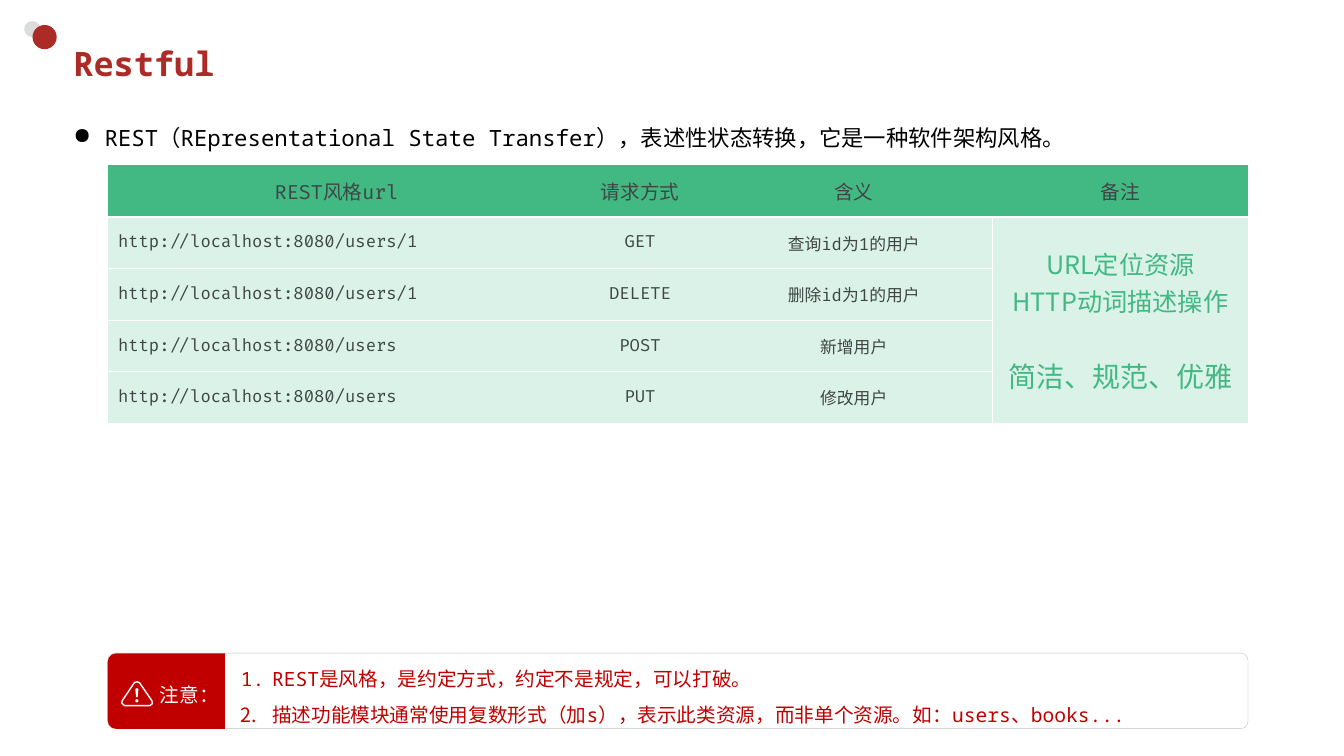
from lxml.etree import SubElement
from pptx import Presentation
from pptx.dml.color import RGBColor
from pptx.enum.shapes import MSO_SHAPE as Shape
from pptx.enum.text import MSO_ANCHOR as Anchor, PP_ALIGN as Align
from pptx.oxml.ns import qn
from pptx.util import Cm, Pt

COLORS = {
    "red": "AD2B26", "alert": "C00000", "gray": "DADDDC", "edge": "BFBFBF",
    "green": "42B883", "mint": "DAF2E7", "slate": "3F4645",
    "black": "000000", "white": "FFFFFF",
}
MONO, CODE, SANS = "Noto Sans Mono", "Fira Code", "Noto Sans CJK JP"
LEFT, WIDTH = 2.72, 28.73
COLUMNS = [11.53, 3.76, 7.01, 6.43]
ROW_HEIGHT = 1.3
HEADERS = ["REST风格url", "请求方式", "含义", "备注"]
REQUESTS = [
    ("http://localhost:8080/users/1", "GET", "查询id为1的用户"),
    ("http://localhost:8080/users/1", "DELETE", "删除id为1的用户"),
    ("http://localhost:8080/users", "POST", "新增用户"),
    ("http://localhost:8080/users", "PUT", "修改用户"),
]
REMARKS = ["URL定位资源", "HTTP动词描述操作", "简洁、规范、优雅"]
NOTES = [
    "REST是风格，是约定方式，约定不是规定，可以打破。",
    "描述功能模块通常使用复数形式（加s），表示此类资源，而非单个资源。如：users、books...",
]


def rgb(name):
    return RGBColor.from_string(COLORS[name])


class SlideBuilder:
    def __init__(self, page):
        self.page = page

    def paint(self, shape, fill=None, line=None, width=0.25):
        shape.shadow.inherit = False
        if fill:
            shape.fill.solid()
            shape.fill.fore_color.rgb = rgb(fill)
        else:
            shape.fill.background()
        if line:
            shape.line.color.rgb = rgb(line)
            shape.line.width = Pt(width)
        else:
            shape.line.fill.background()
        return shape

    def shape(self, kind, x, y, w, h, **paint):
        item = self.page.shapes.add_shape(kind, Cm(x), Cm(y), Cm(w), Cm(h))
        return self.paint(item, **paint)

    def outline(self, points, **paint):
        builder = self.page.shapes.build_freeform(
            *[Cm(value) for value in points[0]])
        builder.add_line_segments([(Cm(x), Cm(y)) for x, y in points[1:]])
        return self.paint(builder.convert_to_shape(), **paint)

    def fill_text(self, frame, lines, size, color, font,
                  bold=False, align=Align.LEFT, bullet=None):
        frame.text = "\n".join(lines)
        for para in frame.paragraphs:
            para.alignment = align
            if bullet:
                para.line_spacing = 1.5
                self.bullet(para, bullet)
            for span in para.runs:
                span.font.size = Pt(size)
                span.font.name = font
                span.font.bold = bold
                span.font.color.rgb = rgb(color)

    def bullet(self, para, mark):
        props = para._p.get_or_add_pPr()
        props.set("marL", str(Cm(0.79)))
        props.set("indent", str(-Cm(0.79)))
        if mark == "number":
            SubElement(props, qn("a:buAutoNum"), type="arabicPeriod")
        else:
            SubElement(props, qn("a:buChar"), char=mark)

    def text(self, x, y, w, h, lines, size, color, font,
             anchor=Anchor.MIDDLE, wrap=True, **style):
        box = self.page.shapes.add_textbox(Cm(x), Cm(y), Cm(w), Cm(h))
        box.text_frame.word_wrap = wrap
        box.text_frame.vertical_anchor = anchor
        self.fill_text(box.text_frame, lines, size, color, font, **style)

    def cell(self, cell, lines, size, color, font, fill, borders, align):
        cell.vertical_anchor = Anchor.MIDDLE
        props = cell._tc.get_or_add_tcPr()
        for side in "LRTB":
            width = borders.get(side, 0)
            line = SubElement(props, qn(f"a:ln{side}"), w=str(Pt(width)))
            if width:
                solid = SubElement(line, qn("a:solidFill"))
                SubElement(solid, qn("a:srgbClr"), val=COLORS["white"])
            else:
                SubElement(line, qn("a:noFill"))
        cell.fill.solid()
        cell.fill.fore_color.rgb = rgb(fill)
        self.fill_text(cell.text_frame, lines, size, color, font, align=align)

    def request_table(self, y):
        count = len(REQUESTS)
        table = self.page.shapes.add_table(
            count + 1, len(COLUMNS), Cm(LEFT), Cm(y), Cm(WIDTH),
            Cm(ROW_HEIGHT * (count + 1))).table
        table.first_row = table.horz_banding = False
        for column, width in zip(table.columns, COLUMNS):
            column.width = Cm(width)
        for row in table.rows:
            row.height = Cm(ROW_HEIGHT)
        for index, header in enumerate(HEADERS):
            self.cell(table.cell(0, index), [header], 14, "slate", CODE,
                      "green", {"B": 1.5}, Align.CENTER)
        for number, request in enumerate(REQUESTS, 1):
            for index, value in enumerate(request):
                borders = {"T": 1.5 if number == 1 else 0.75,
                           "B": 0.75 if number < count else 0,
                           "R": 0.75 if index == 2 else 0}
                align = Align.CENTER if index else Align.LEFT
                self.cell(table.cell(number, index), [value], 12, "slate",
                          CODE, "mint", borders, align)
        remark = table.cell(1, 3)
        remark.merge(table.cell(count, 3))
        self.cell(remark, REMARKS, 18, "green", SANS, "mint",
                  {"L": 0.75, "T": 1.5}, Align.CENTER)
        motto = remark.text_frame.paragraphs[-1]
        motto.space_before = Pt(26)
        motto.runs[0].font.size = Pt(20)

    def warning_icon(self):
        self.outline([(3.14, 17.78), (3.07, 17.72), (3.08, 17.66),
                      (3.39, 17.2), (3.4, 17.2), (3.46, 17.18),
                      (3.52, 17.21), (3.83, 17.66), (3.84, 17.73),
                      (3.78, 17.78)], line="white", width=1)
        self.outline([(3.41, 17.36), (3.45, 17.34), (3.49, 17.36),
                      (3.47, 17.57), (3.43, 17.57)], fill="white")
        self.shape(Shape.OVAL, 3.41, 17.62, 0.08, 0.08, fill="white")

    def note_panel(self):
        panel = self.shape(Shape.ROUNDED_RECTANGLE, LEFT, 16.46, WIDTH, 1.9,
                           line="edge")
        panel.adjustments[0] = 0.09
        frame = panel.text_frame
        frame.word_wrap = True
        frame.vertical_anchor = Anchor.MIDDLE
        frame.margin_left = Cm(3.3)
        self.fill_text(frame, NOTES, 14, "alert", MONO, bullet="number")
        tab = self.shape(Shape.ROUND_2_SAME_RECTANGLE, 3.24, 15.94, 1.9, 2.95,
                         fill="alert")
        tab.rotation = 270
        tab.adjustments[0] = 0.11
        tab.adjustments[1] = 0
        self.warning_icon()
        self.text(3.78, 17.07, 1.65, 0.86, ["注意："], 14, "white", SANS,
                  wrap=False)


def main():
    deck = Presentation()
    deck.slide_width, deck.slide_height = Cm(33.87), Cm(19.05)
    page = deck.slides.add_slide(deck.slide_layouts[6])
    builder = SlideBuilder(page)
    builder.shape(Shape.OVAL, 0.61, 0.53, 0.41, 0.41, fill="gray")
    builder.shape(Shape.OVAL, 0.82, 0.63, 0.61, 0.61, fill="red")
    builder.text(1.6, 0.94, 29.85, 1.32, ["Restful"], 24, "red", MONO,
                 bold=True)
    builder.text(1.6, 2.67, 30.73, 1.5,
                 ["REST（REpresentational State Transfer），"
                  "表述性状态转换，它是一种软件架构风格。"],
                 16, "black", MONO, anchor=Anchor.TOP, bullet="●")
    builder.request_table(4.17)
    builder.note_panel()
    deck.save("out.pptx")


if __name__ == "__main__":
    main()
